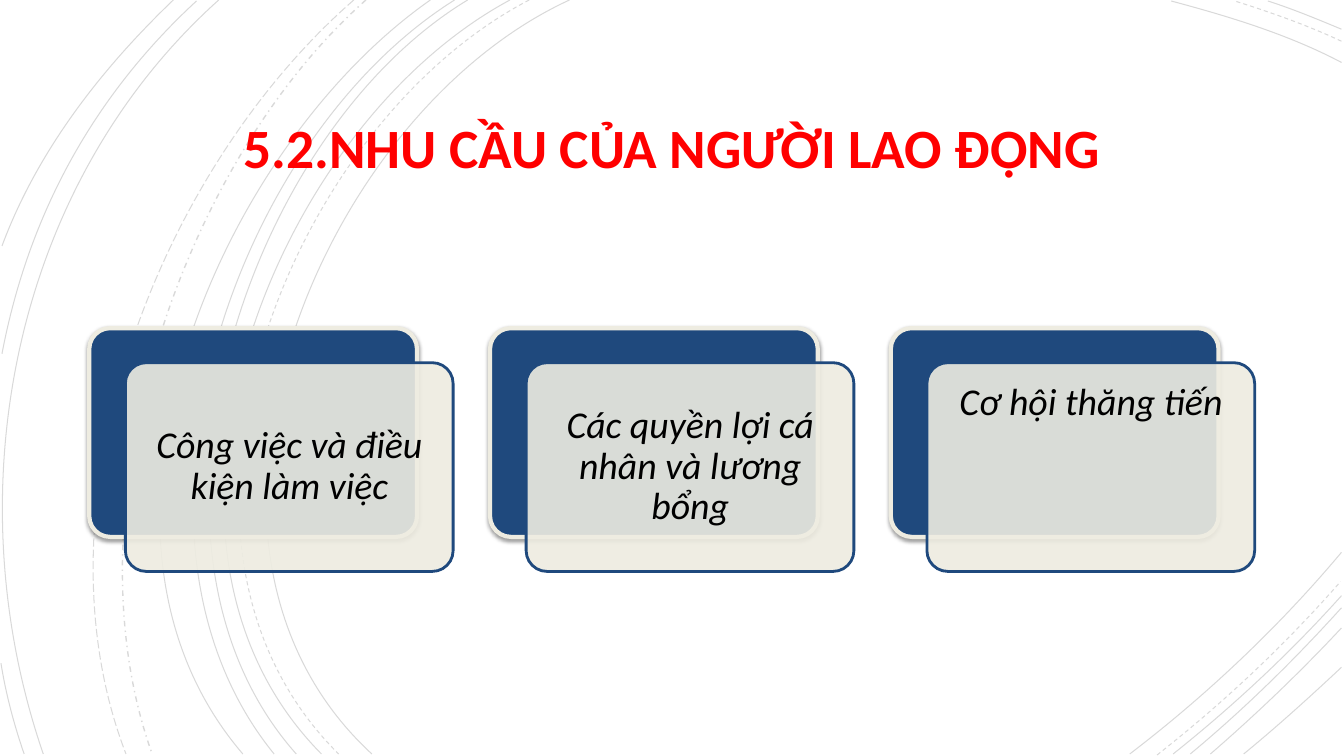
from lxml.etree import SubElement
from pptx import Presentation
from pptx.dml.color import RGBColor
from pptx.enum.dml import MSO_LINE
from pptx.enum.shapes import MSO_SHAPE
from pptx.enum.text import MSO_ANCHOR, PP_ALIGN
from pptx.oxml.ns import qn
from pptx.util import Cm, Pt

COLORS = {
    "black": "000000",
    "title": "FF0000",
    "navy": "1F497D",
    "cream": "EEECE1",
}
CM_PER_INCH = 2.54


def set_color(fill, name, opacity=100):
    """Make a fill solid, with an opacity in percent."""
    fill.solid()
    fill.fore_color.rgb = RGBColor.from_string(COLORS[name])
    if opacity < 100:
        color = fill._xPr.find(qn("a:solidFill"))[0]
        SubElement(color, qn("a:alpha"), val=str(opacity * 1000))


def format_text(text_frame, size, color, bold=False, italic=False):
    """Centre the text in its frame and format its runs."""
    text_frame.word_wrap = True
    for paragraph in text_frame.paragraphs:
        paragraph.alignment = PP_ALIGN.CENTER
        for run in paragraph.runs:
            run.font.name = "Calibri"
            run.font.size = Pt(size)
            run.font.bold = bold
            run.font.italic = italic
            run.font.color.rgb = RGBColor.from_string(COLORS[color])


presentation = Presentation()
presentation.slide_width = Cm(33.87)
presentation.slide_height = Cm(19.05)
slide = presentation.slides.add_slide(presentation.slide_layouts[6])

# Background arcs: start, two control points and end of a Bezier curve, in inches
arcs = [
    (MSO_LINE.SOLID, 0.75, [
        ((5.65, 0), (3.15, 1.15), (1.43, 5.4), (3.69, 7.48)),
        ((13.31, 0.62), (12.78, 0.34), (12.18, 0.16), (11.62, 0.01)),
        ((11.21, 7.48), (11.97, 6.9), (12.69, 6.22), (13.31, 5.48)),
    ]),
    (MSO_LINE.DASH, 0.75, [
        ((5.25, 0), (2.85, 1.25), (1.23, 5.37), (3.36, 7.48)),
        ((13.31, 0.41), (12.97, 0.25), (12.6, 0.12), (12.25, 0.01)),
        ((11.48, 7.49), (12.13, 6.98), (12.75, 6.4), (13.3, 5.77)),
    ]),
    (MSO_LINE.SOLID, 0.75, [
        ((5.06, 0), (2.7, 1.27), (1.1, 5.37), (3.19, 7.48)),
        ((13.31, 0.29), (13.07, 0.19), (12.83, 0.09), (12.58, 0.01)),
        ((11.64, 7.48), (12.23, 7.01), (12.8, 6.48), (13.31, 5.91)),
        ((4.64, 0), (2.44, 1.33), (1.1, 5.41), (2.94, 7.48)),
        ((11.81, 7.48), (12.34, 7.04), (12.84, 6.55), (13.31, 6.03)),
        ((4.51, 0), (2.31, 1.38), (0.97, 5.33), (2.72, 7.48)),
        ((12.01, 7.48), (12.46, 7.09), (12.9, 6.67), (13.31, 6.23)),
        ((4.27, 0), (2.17, 1.47), (0.53, 5.29), (2.41, 7.48)),
        ((12.34, 7.48), (12.67, 7.21), (12.99, 6.92), (13.31, 6.62)),
    ]),
    (MSO_LINE.DASH_DOT, 1, [
        ((3.63, 0), (1.76, 1.66), (0.65, 5.09), (1.51, 7.48)),
    ]),
    (MSO_LINE.LONG_DASH, 0.75, [
        ((3.51, 0), (1.57, 1.69), (0.29, 4.99), (1.25, 7.48)),
    ]),
    (MSO_LINE.SOLID, 0.75, [
        ((2.17, 0), (0.11, 1.85), (-0.46, 4.9), (0.43, 7.48)),
        ((1.95, 0.01), (0.92, 0.96), (0.28, 2.14), (0.02, 3.51)),
        ((0.01, 6.58), (0.06, 6.89), (0.14, 7.19), (0.24, 7.48)),
        ((1.72, 0), (1, 0.69), (0.37, 1.5), (0.02, 2.44)),
    ]),
]
for dash_style, line_width, curves in arcs:
    for curve in curves:
        start, *others = [
            (Cm(x * CM_PER_INCH), Cm(y * CM_PER_INCH)) for x, y in curve]
        builder = slide.shapes.build_freeform(*start)
        builder.add_line_segments(others, close=False)
        arc = builder.convert_to_shape()

        # Turn the three line segments into one Bezier segment
        outline = next(arc._element.iter(qn("a:path")))
        bezier = SubElement(outline, qn("a:cubicBezTo"))
        for segment in outline.findall(qn("a:lnTo")):
            bezier.append(segment[0])
            outline.remove(segment)

        arc.shadow.inherit = False
        arc.fill.background()
        set_color(arc.line.fill, "black", 15)
        arc.line.width = Pt(line_width)
        arc.line.dash_style = dash_style

# Title
title = slide.shapes.add_textbox(Cm(4.88), Cm(2.23), Cm(24.1), Cm(2.92))
title.text_frame.text = "5.2.NHU CẦU CỦA NGƯỜI LAO ĐỘNG"
title.text_frame.vertical_anchor = MSO_ANCHOR.MIDDLE
format_text(title.text_frame, 39.6, "title", bold=True)

# Cards: a navy back plate, a translucent front plate and a label
card_left, card_top, card_pitch = 2.25, 8.27, 10.1
card_width, card_height = Cm(8.26), Cm(5.26)
cards = [
    ("Công việc và điều kiện làm việc", MSO_ANCHOR.MIDDLE),
    ("Các quyền lợi cá nhân và lương bổng", MSO_ANCHOR.MIDDLE),
    ("Cơ hội thăng tiến", MSO_ANCHOR.TOP),
]
for index, (text, anchor) in enumerate(cards):
    left = card_left + index * card_pitch
    back = slide.shapes.add_shape(
        MSO_SHAPE.ROUNDED_RECTANGLE, Cm(left), Cm(card_top), card_width, card_height)
    front = slide.shapes.add_shape(
        MSO_SHAPE.ROUNDED_RECTANGLE, Cm(left + 0.91), Cm(card_top + 0.87),
        card_width, card_height)
    for plate, fill_color, opacity, line_color, line_width in (
        (back, "navy", 100, "cream", 3),
        (front, "cream", 90, "navy", 2),
    ):
        plate.adjustments[0] = 0.1
        plate.shadow.inherit = False
        set_color(plate.fill, fill_color, opacity)
        set_color(plate.line.fill, line_color)
        plate.line.width = Pt(line_width)

    # Soft shadow below the back plate
    effects = back._element.spPr.find(qn("a:effectLst"))
    shadow = SubElement(effects, qn("a:outerShdw"), blurRad=str(Pt(3.1)),
                        dist=str(Pt(1.6)), dir="5400000", rotWithShape="0")
    shadow_color = SubElement(shadow, qn("a:srgbClr"), val=COLORS["black"])
    SubElement(shadow_color, qn("a:alpha"), val="38000")

    # Label
    label = slide.shapes.add_textbox(
        Cm(left + 1.07), Cm(card_top + 1.03), Cm(7.95), Cm(4.93))
    text_frame = label.text_frame
    text_frame.text = text
    text_frame.vertical_anchor = anchor
    text_frame.margin_left = text_frame.margin_right = Cm(0.28)
    text_frame.margin_top = text_frame.margin_bottom = Cm(0.34)
    text_frame.paragraphs[0].line_spacing = 0.9
    format_text(text_frame, 27, "black", italic=True)

presentation.save("out.pptx")
